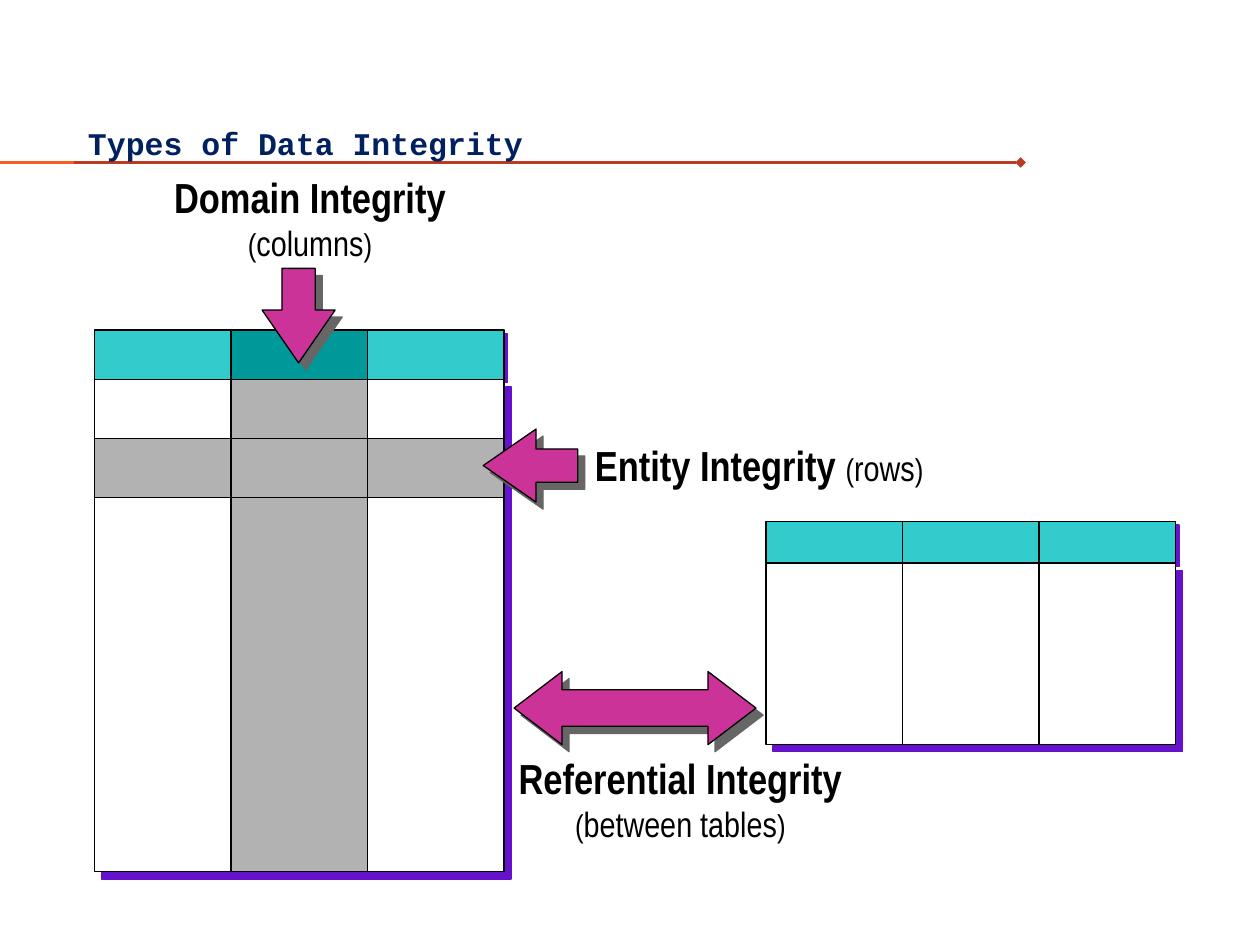
from lxml.etree import SubElement
from pptx import Presentation
from pptx.dml.color import RGBColor
from pptx.enum.shapes import MSO_CONNECTOR as CONN, MSO_SHAPE as SHAPE
from pptx.enum.text import MSO_ANCHOR as ANCHOR, PP_ALIGN as ALIGN
from pptx.oxml.ns import qn
from pptx.util import Inches, Pt

COLORS = {
    "title": "002060", "text": "000000", "line": "000000",
    "rule": "BA3B21", "rule_start": "F55C21",
    "head": "33CCCC", "head_key": "009999", "cell": "FFFFFF", "marked": "B2B2B2",
    "arrow": "CC3399", "table_shadow": "6611CC", "arrow_shadow": "666666",
}
COL_W = 3.25 / 3

# Content: box, heading, note, whether the note goes on its own line
LABELS = [
    ((1.17, 1.31, 2.58, 0.83), "Domain Integrity", "columns", True),
    ((3.97, 5.92, 2.86, 0.83), "Referential Integrity", "between tables", True),
    ((4.33, 3.44, 3.39, 0.5), "Entity Integrity ", "rows", False),
]
# Left, top, header height, body height, header fills, body fills, marked row
TABLES = [
    (0.75, 2.62, 0.39, 3.91, ("head", "head_key", "head"),
     ("cell", "marked", "cell"), (3.48, 0.47)),
    (6.08, 4.14, 0.33, 1.44, ("head",) * 3, ("cell",) * 3, None),
]
# Shape, box, adjustments, rotation
ARROWS = [
    (SHAPE.DOWN_ARROW, (2.08, 2.13, 0.58, 0.75), (0.455, 0.723), 0),
    (SHAPE.LEFT_RIGHT_ARROW, (4.08, 5.33, 1.92, 0.58), (0.5, 0.657), 0),
    (SHAPE.DOWN_ARROW, (3.92, 3.32, 0.58, 0.75), (0.455, 0.723), 90),
]
RULES = [(8.1, "rule", "diamond"), (0.59, "rule_start", None)]


def rgb(name):
    return RGBColor.from_string(COLORS[name])


def add_box(shapes, kind, box, fill=None, shadow=None, dist=0):
    sp = shapes.add_shape(kind, *map(Inches, box))
    if fill:
        sp.fill.solid()
        sp.fill.fore_color.rgb = rgb(fill)
    else:
        sp.fill.background()
    sp.line.color.rgb = rgb("line")
    sp.line.width = Pt(0.75)
    sp.shadow.inherit = False
    if shadow:
        effects = sp._element.spPr.find(qn("a:effectLst"))
        outer = SubElement(effects, qn("a:outerShdw"), dist=str(Pt(dist)),
                           dir="2700000", algn="ctr", rotWithShape="0")
        SubElement(outer, qn("a:srgbClr"), val=COLORS[shadow])
    return sp


def add_text(slide, box, align, anchor=ANCHOR.TOP):
    tf = slide.shapes.add_textbox(*map(Inches, box)).text_frame
    tf.word_wrap = True
    tf.vertical_anchor = anchor
    tf.paragraphs[0].alignment = align
    return tf.paragraphs[0]


def add_run(p, text, color="text", **font):
    r = p.add_run()
    r.text = text
    r.font.color.rgb = rgb(color)
    for name, value in font.items():
        setattr(r.font, name, value)


def add_grid(slide, left, top, head_h, body_h, heads, bodies, marked):
    shapes = slide.shapes.add_group_shape().shapes
    parts = [(top, head_h, heads, 2.8), (top + head_h, body_h, bodies, 5.7)]
    for y, height, fills, dist in parts:
        for i, fill in enumerate(fills):
            add_box(shapes, SHAPE.RECTANGLE, (left + i * COL_W, y, COL_W, height),
                    fill, "table_shadow", dist)
    if marked:
        y, height = marked
        for i in (0, 2):
            add_box(shapes, SHAPE.RECTANGLE,
                    (left + i * COL_W, y, COL_W, height), "marked")
        add_box(shapes, SHAPE.RECTANGLE, (left, y, 3 * COL_W, height))


def main():
    prs = Presentation()
    prs.slide_width, prs.slide_height = Inches(10), Inches(7.5)
    slide = prs.slides.add_slide(prs.slide_layouts[6])

    # Rule under the title
    for end, color, tail in RULES:
        line = slide.shapes.add_connector(CONN.STRAIGHT, Inches(-0.01), Inches(1.29),
                                          Inches(end), Inches(1.29))
        line.line.color.rgb = rgb(color)
        line.line.width = Pt(1.5)
        if tail:
            SubElement(line.line._get_or_add_ln(), qn("a:tailEnd"), type=tail)
        SubElement(line._element.spPr, qn("a:effectLst"))

    # Title
    p = add_text(slide, (0.6, 0.53, 7.5, 0.8), ALIGN.LEFT, ANCHOR.BOTTOM)
    add_run(p, "Types of Data Integrity", "title",
            name="Courier New", size=Pt(18), bold=True)

    # Tables, then the arrows that point at them
    for table in TABLES:
        add_grid(slide, *table)
    for kind, box, adjustments, rotation in ARROWS:
        sp = add_box(slide.shapes, kind, box, "arrow", "arrow_shadow", 5.7)
        for i, value in enumerate(adjustments):
            sp.adjustments[i] = value
        sp.rotation = rotation

    # Labels
    for box, heading, note, own_line in LABELS:
        p = add_text(slide, box, ALIGN.CENTER)
        add_run(p, heading, name="Arial Narrow", size=Pt(24), bold=True)
        if own_line:
            p.add_line_break()
        for text, size in (("(", 18), (note, 20), (")", 18)):
            add_run(p, text, name="Arial Narrow", size=Pt(size), bold=False)

    prs.save("out.pptx")


if __name__ == "__main__":
    main()
